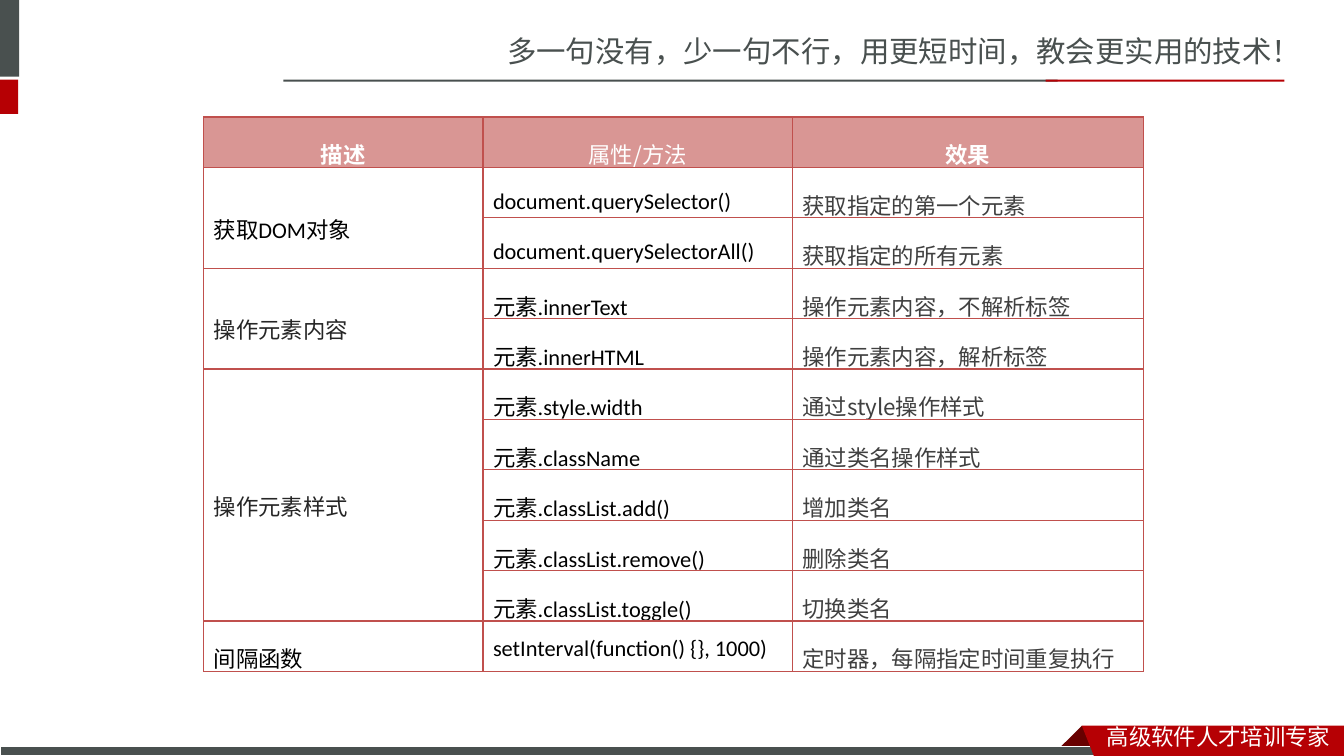
"""Builds a summary table slide of DOM methods with a branded frame."""
from lxml.etree import SubElement
from pptx import Presentation
from pptx.dml.color import RGBColor
from pptx.enum.shapes import MSO_SHAPE
from pptx.enum.text import MSO_ANCHOR, PP_ALIGN
from pptx.oxml.ns import qn
from pptx.util import Inches, Pt

WIDTH, HEIGHT = 13.33, 7.5
GREY, RED, DARK_RED, WHITE, BLACK = "49504F", "B60004", "680000", "FFFFFF", "000000"
HEADER_FILL, BORDER, TEXT_GREY, GROUP_GREY = "D99694", "C0504D", "404040", "262626"
LATIN, CHINESE, JAPANESE = "Calibri", "Noto Sans CJK SC", "Noto Sans CJK JP"

SLOGAN = "多一句没有，少一句不行，用更短时间，教会更实用的技术！"
MOTTO = "高级软件人才培训专家"
HEADERS = [("描述", LATIN, True), ("属性/方法", JAPANESE, False), ("效果", LATIN, True)]
GROUPS = [
    ("获取DOM对象", LATIN, BLACK, [
        ("document.querySelector()", "获取指定的第一个元素"),
        ("document.querySelectorAll()", "获取指定的所有元素")]),
    ("操作元素内容", JAPANESE, GROUP_GREY, [
        ("元素.innerText", "操作元素内容，不解析标签"),
        ("元素.innerHTML", "操作元素内容，解析标签")]),
    ("操作元素样式", JAPANESE, GROUP_GREY, [
        ("元素.style.width", "通过style操作样式"),
        ("元素.className", "通过类名操作样式"),
        ("元素.classList.add()", "增加类名"),
        ("元素.classList.remove()", "删除类名"),
        ("元素.classList.toggle()", "切换类名")]),
    ("间隔函数", LATIN, BLACK, [
        ("setInterval(function() {}, 1000)", "定时器，每隔指定时间重复执行")]),
]
COLUMNS = [2.77, 3.07, 3.48]
TABLE_LEFT, TABLE_TOP, ROW_HEIGHT = 2.02, 1.16, 0.5
BARS = [
    (0, 0, 0.19, 0.76, GREY),
    (0, 0.79, 0.18, 0.34, RED),
    (2.81, 0.79, 7.68, 0.02, GREY),
    (10.37, 0.79, 2.37, 0.02, RED),
]
FOOTER_BAR = (0, 7.41, 10.99, 0.09, GREY)
FOLD = [(10.73, 7.2), (10.95, 7.42), (10.94, 7.43), (10.52, 7.43), (10.51, 7.42)]
RIBBON = [(10.73, 7.2), (WIDTH, 7.2), (WIDTH, HEIGHT), (10.85, HEIGHT)]


def color(value):
    return RGBColor.from_string(value)


def paint(shape, fill, line=None):
    shape.shadow.inherit = False
    shape.fill.solid()
    shape.fill.fore_color.rgb = color(fill)
    if line:
        shape.line.color.rgb = color(line)
        shape.line.width = Pt(0.75)
    else:
        shape.line.fill.background()


def add_bar(page, left, top, width, height, fill, line=None):
    place = [Inches(value) for value in (left, top, width, height)]
    paint(page.shapes.add_shape(MSO_SHAPE.RECTANGLE, *place), fill, line)


def add_outline(page, points, fill):
    corners = [(Inches(x), Inches(y)) for x, y in points]
    builder = page.shapes.build_freeform(*corners[0])
    builder.add_line_segments(corners[1:], close=True)
    paint(builder.convert_to_shape(), fill)


def write(frame, text, size, font, fill, bold=False, align=PP_ALIGN.LEFT, spacing=1.0):
    para = frame.paragraphs[0]
    para.alignment, para.line_spacing = align, spacing
    span = para.add_run()
    span.text = text
    for name, value in {"size": Pt(size), "name": font, "bold": bold}.items():
        setattr(span.font, name, value)
    span.font.color.rgb = color(fill)
    east_asian = CHINESE if font == LATIN else font
    SubElement(span.font._element, qn("a:ea")).set("typeface", east_asian)


def place_text(box, left, top, width, height, text, size, fill):
    box.left, box.top = Inches(left), Inches(top)
    box.width, box.height = Inches(width), Inches(height)
    box.text_frame.word_wrap = True
    box.text_frame.vertical_anchor = MSO_ANCHOR.TOP
    write(box.text_frame, text, size, CHINESE, fill)


def format_cell(cell, fill):
    properties = cell._tc.get_or_add_tcPr()
    for side in ("a:lnL", "a:lnR", "a:lnT", "a:lnB"):
        line = SubElement(properties, qn(side), w=str(Pt(1)))
        SubElement(SubElement(line, qn("a:solidFill")), qn("a:srgbClr"), val=BORDER)
    cell.fill.solid()
    cell.fill.fore_color.rgb = color(fill)


def fill_cell(cell, text, font, fill, spacing=1.5):
    cell.vertical_anchor = MSO_ANCHOR.MIDDLE
    write(cell.text_frame, text, 16, font, fill, spacing=spacing)


def add_summary(page):
    row_count = 1 + sum(len(methods) for *_, methods in GROUPS)
    place = (TABLE_LEFT, TABLE_TOP, sum(COLUMNS), row_count * ROW_HEIGHT)
    table = page.shapes.add_table(row_count, len(COLUMNS), *map(Inches, place)).table
    for column, width in zip(table.columns, COLUMNS):
        column.width = Inches(width)
    for index, row in enumerate(table.rows):
        row.height = Inches(ROW_HEIGHT)
        for cell in row.cells:
            cell.margin_top = Inches(0.05)
            cell.margin_bottom = 0
            format_cell(cell, WHITE if index else HEADER_FILL)
    for index, (text, font, bold) in enumerate(HEADERS):
        write(table.cell(0, index).text_frame, text, 16, font, WHITE, bold,
              PP_ALIGN.CENTER, 1.5)
    row = 1
    for name, font, fill, methods in GROUPS:
        group = table.cell(row, 0)
        if len(methods) > 1:
            group.merge(table.cell(row + len(methods) - 1, 0))
        fill_cell(group, name, font, fill)
        for method, effect in methods:
            spacing = 1.0 if method.startswith("setInterval") else 1.5
            fill_cell(table.cell(row, 1), method, LATIN, BLACK, spacing)
            fill_cell(table.cell(row, 2), effect, JAPANESE, TEXT_GREY)
            row += 1


def main():
    deck = Presentation()
    deck.slide_width, deck.slide_height = Inches(WIDTH), Inches(HEIGHT)
    page = deck.slides.add_slide(deck.slide_layouts[5])
    place_text(page.shapes.title, 4.93, 0.28, 8.4, 0.47, SLOGAN, 21, GREY)
    for bar in BARS:
        add_bar(page, *bar)
    add_outline(page, FOLD, DARK_RED)
    add_bar(page, *FOOTER_BAR, line=WHITE)
    add_outline(page, RIBBON, RED)
    motto = page.shapes.add_textbox(0, 0, 0, 0)
    place_text(motto, 10.88, 7.13, 2.45, 0.37, MOTTO, 16, WHITE)
    add_summary(page)
    deck.save("out.pptx")


if __name__ == "__main__":
    main()
